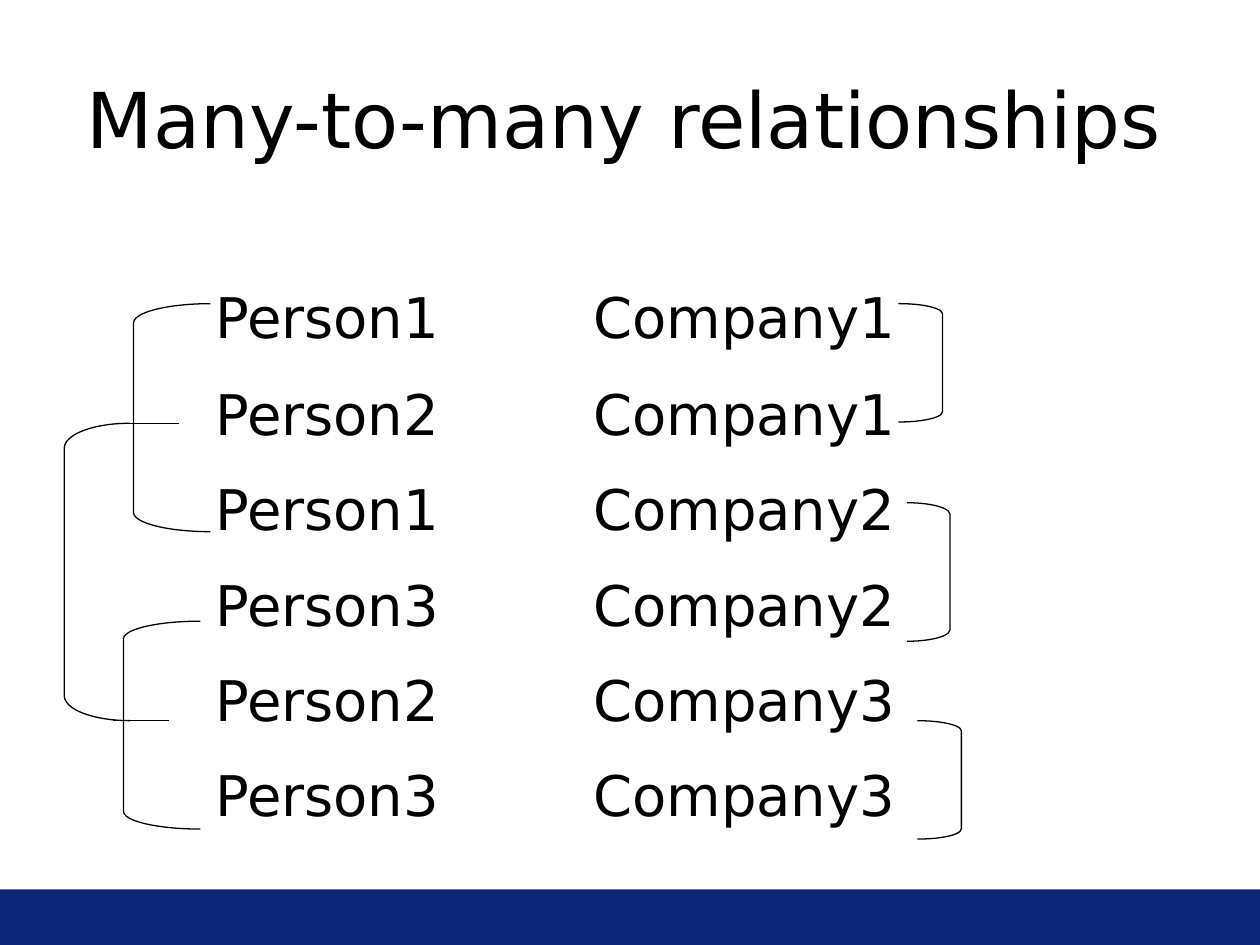
from lxml import etree
from pptx import Presentation
from pptx.dml.color import RGBColor
from pptx.enum.shapes import MSO_CONNECTOR, MSO_SHAPE
from pptx.oxml.ns import qn
from pptx.util import Inches, Pt

RECT = MSO_SHAPE.RECTANGLE
LEFT = MSO_SHAPE.LEFT_BRACKET
RIGHT = MSO_SHAPE.RIGHT_BRACKET
STRAIGHT = MSO_CONNECTOR.STRAIGHT
BLACK = RGBColor(0x00, 0x00, 0x00)
NAVY = RGBColor(0x0C, 0x25, 0x77)
WIDE, HIGH = 10, 7.5
FOOT = 0.44

TITLE = "Many-to-many relationships"
PAIRS = [
    ("Person1", "Company1"),
    ("Person2", "Company1"),
    ("Person1", "Company2"),
    ("Person3", "Company2"),
    ("Person2", "Company3"),
    ("Person3", "Company3"),
]
LINKS = [
    (LEFT, (1.06, 2.41, 0.61, 1.81), 0.25),
    (LEFT, (0.51, 3.36, 0.52, 2.36), 0.38),
    (LEFT, (0.98, 4.93, 0.61, 1.65), 0.23),
    (RIGHT, (7.13, 2.41, 0.35, 0.94), 0.23),
    (RIGHT, (7.2, 3.99, 0.34, 1.1), 0.27),
    (RIGHT, (7.28, 5.72, 0.35, 0.94), 0.23),
]
STUBS = [(0.98, 3.36), (0.9, 5.72)]
STUB = 0.44
TABS = [2, 3]
GAP = 16.1
STEPS = [0, GAP + 1] + [GAP] * (len(PAIRS) - 2)


def inch(vals):
    return [Inches(v) for v in vals]


def set_tabs(para):
    stops = etree.SubElement(para._p.get_or_add_pPr(), qn("a:tabLst"))
    for pos in inch(TABS):
        etree.SubElement(stops, qn("a:tab"), pos=str(pos), algn="l")


def write(slide, box, top, size, lines, gaps):
    frame = slide.shapes.add_textbox(*inch(box)).text_frame
    frame.word_wrap = True
    frame.margin_top = Inches(top)
    style = {"size": Pt(size), "name": "DejaVu Sans"}
    for i, (line, gap) in enumerate(zip(lines, gaps)):
        para = frame.add_paragraph() if i else frame.paragraphs[0]
        para.space_before = Pt(gap)
        if "\t" in line:
            set_tabs(para)
        run = para.add_run()
        run.text = line
        for key, val in style.items():
            setattr(run.font, key, val)
        run.font.color.rgb = BLACK


def ink(shape):
    shape.line.color.rgb = BLACK
    shape.line.width = Pt(0.75)


def main():
    deck = Presentation()
    deck.slide_width, deck.slide_height = inch((WIDE, HIGH))
    slide = deck.slides.add_slide(deck.slide_layouts[6])
    shapes = slide.shapes

    band = shapes.add_shape(RECT, *inch((0, HIGH - FOOT, WIDE, FOOT)))
    band.shadow.inherit = False
    band.fill.solid()
    band.fill.fore_color.rgb = NAVY
    band.line.fill.background()

    write(slide, (0.59, 0.52, 9.41, 0.83), 0.05, 44, [TITLE], [0])
    rows = ["\t\t".join(pair) for pair in PAIRS]
    write(slide, (1.61, 2.02, 7.77, 4.84), 0.22, 32, rows, STEPS)

    for kind, box, bend in LINKS:
        link = shapes.add_shape(kind, *inch(box))
        link.shadow.inherit = False
        link.adjustments[0] = bend
        link.fill.background()
        ink(link)

    for x, y in STUBS:
        stub = shapes.add_connector(STRAIGHT, *inch((x, y, x + STUB, y)))
        ink(stub)
        etree.SubElement(stub._element.spPr, qn("a:effectLst"))

    deck.save("out.pptx")


if __name__ == "__main__":
    main()
